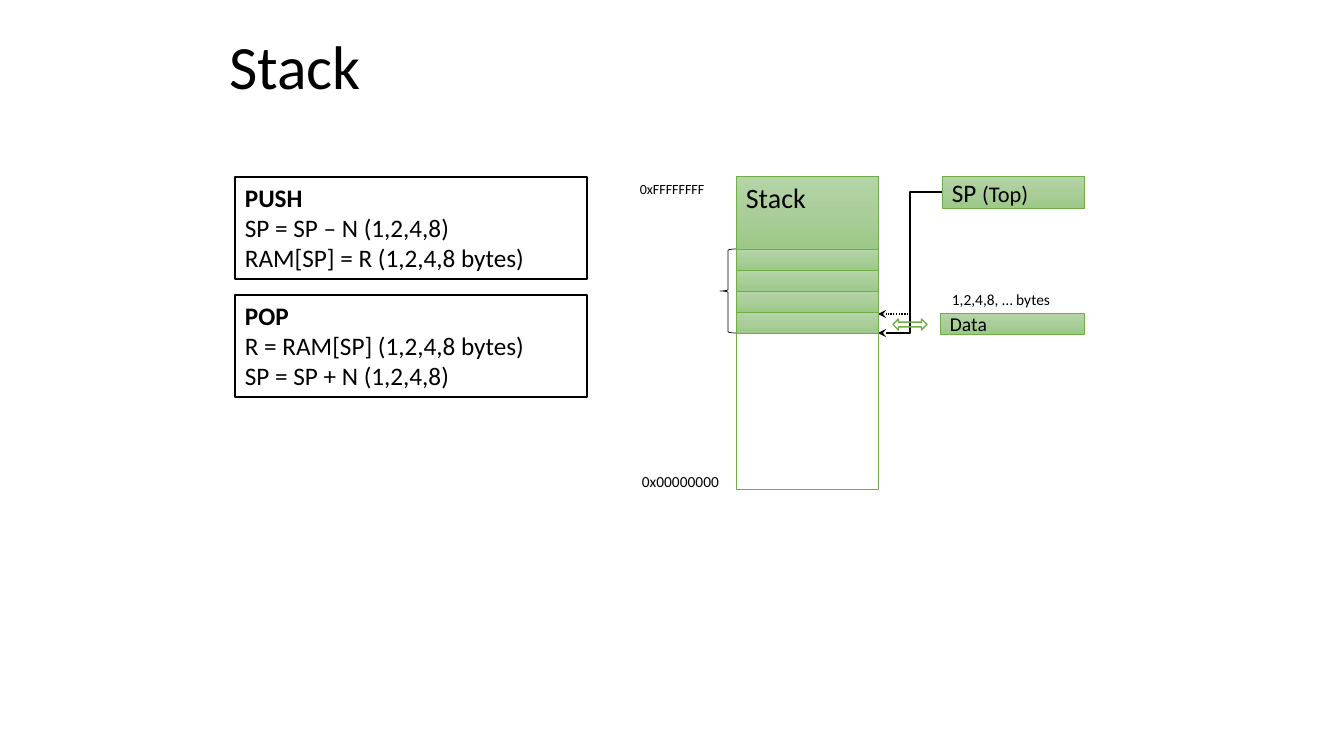
from copy import deepcopy
from pptx import Presentation
from pptx.dml.color import RGBColor
from pptx.enum.dml import MSO_LINE_DASH_STYLE as DASH
from pptx.enum.shapes import MSO_CONNECTOR as CONN, MSO_SHAPE as SHAPE
from pptx.enum.text import MSO_ANCHOR as ANCHOR, PP_ALIGN as ALIGN
from pptx.oxml.ns import qn
from pptx.util import Pt
from lxml.etree import SubElement

PX = 9144000 / 1008
BLACK = RGBColor(0x00, 0x00, 0x00)
GREEN = RGBColor(0x70, 0xAD, 0x47)
SHADES = [
    (0, RGBColor(0xB5, 0xD5, 0xA7)),
    (0.5, RGBColor(0xAA, 0xCE, 0x9A)),
    (1, RGBColor(0x9C, 0xC9, 0x87)),
]


def write(sp, paragraphs, anchor=ANCHOR.TOP):
    tf = sp.text_frame
    tf.word_wrap = True
    tf.vertical_anchor = anchor
    for i, runs in enumerate(paragraphs):
        p = tf.paragraphs[0] if i == 0 else tf.add_paragraph()
        p.alignment = ALIGN.LEFT
        for text, size, bold in runs:
            r = p.add_run()
            r.text = text
            font = {"name": "Calibri", "size": Pt(size), "bold": bold}
            for key, value in font.items():
                setattr(r.font, key, value)
            r.font.color.rgb = BLACK


def draw(kind, box, color, width, shaded=False):
    sp = slide.shapes.add_shape(kind, *[round(v * PX) for v in box])
    sp.shadow.inherit = False
    sp.line.color.rgb = color
    sp.line.width = Pt(width)
    if shaded:
        sp.fill.gradient()
        sp.fill.gradient_angle = 270
        stops = sp._element.spPr.find(".//" + qn("a:gsLst"))
        stops.insert(1, deepcopy(stops[0]))
        for stop, (position, shade) in zip(sp.fill.gradient_stops, SHADES):
            stop.position = position
            stop.color.rgb = shade
    else:
        sp.fill.background()
    return sp


prs = Presentation()
prs.slide_width = round(1344 * PX)
prs.slide_height = round(756 * PX)
slide = prs.slides.add_slide(prs.slide_layouts[5])

title = slide.shapes.title
frame = {"left": 219, "top": 7, "width": 958, "height": 126}
for key, value in frame.items():
    setattr(title, key, round(value * PX))
write(title, [[("Stack", 44, False)]], ANCHOR.MIDDLE)
title.text_frame.paragraphs[0].line_spacing = 0.9

operations = [
    ("PUSH", "SP = SP – N (1,2,4,8)", "RAM[SP] = R (1,2,4,8 bytes)"),
    ("POP", "R = RAM[SP] (1,2,4,8 bytes)", "SP = SP + N (1,2,4,8)"),
]
for i, lines in enumerate(operations):
    sp = draw(SHAPE.RECTANGLE, (235, 177 + 118 * i, 352, 102), BLACK, 1.5)
    write(sp, [[(line, 18, j == 0)] for j, line in enumerate(lines)])

for y, dash in [(314, DASH.ROUND_DOT), (333, DASH.SOLID)]:
    ends = [round(v * PX) for v in (942, 192, 878, y)]
    pointer = slide.shapes.add_connector(CONN.ELBOW, *ends)
    pointer.line.color.rgb = BLACK
    pointer.line.width = Pt(1)
    pointer.line.dash_style = dash
    SubElement(pointer.line._get_or_add_ln(), qn("a:tailEnd"), type="stealth")
    SubElement(pointer._element.spPr, qn("a:effectLst"))

transfer = draw(SHAPE.LEFT_RIGHT_ARROW, (893, 319, 34, 11), GREEN, 1)
transfer.adjustments[0] = 0.43

labels = [
    ("1,2,4,8, … bytes", 11, (942, 285, 143, 29)),
    ("0x00000000", 11, (632, 467, 105, 29)),
    ("0xFFFFFFFF", 10, (630, 176, 105, 27)),
]
for text, size, box in labels:
    sp = slide.shapes.add_textbox(*[round(v * PX) for v in box])
    write(sp, [[(text, size, False)]])

draw(SHAPE.RECTANGLE, (736, 176, 142, 313), GREEN, 0.5)
for i in range(4):
    draw(SHAPE.RECTANGLE, (736, 249 + 21 * i, 142, 21), GREEN, 0.5, True)
draw(SHAPE.LEFT_BRACE, (720, 249, 16, 84), BLACK, 0.5)

blocks = [
    ([("SP ", 18, False), ("(Top)", 16, False)], (942, 176, 142, 32), ANCHOR.MIDDLE),
    ([("Data", 14, False)], (940, 313, 144, 21), ANCHOR.MIDDLE),
    ([("Stack", 20, False)], (736, 176, 142, 73), ANCHOR.TOP),
]
for runs, box, anchor in blocks:
    write(draw(SHAPE.RECTANGLE, box, GREEN, 0.5, True), [runs], anchor)

prs.save("out.pptx")
